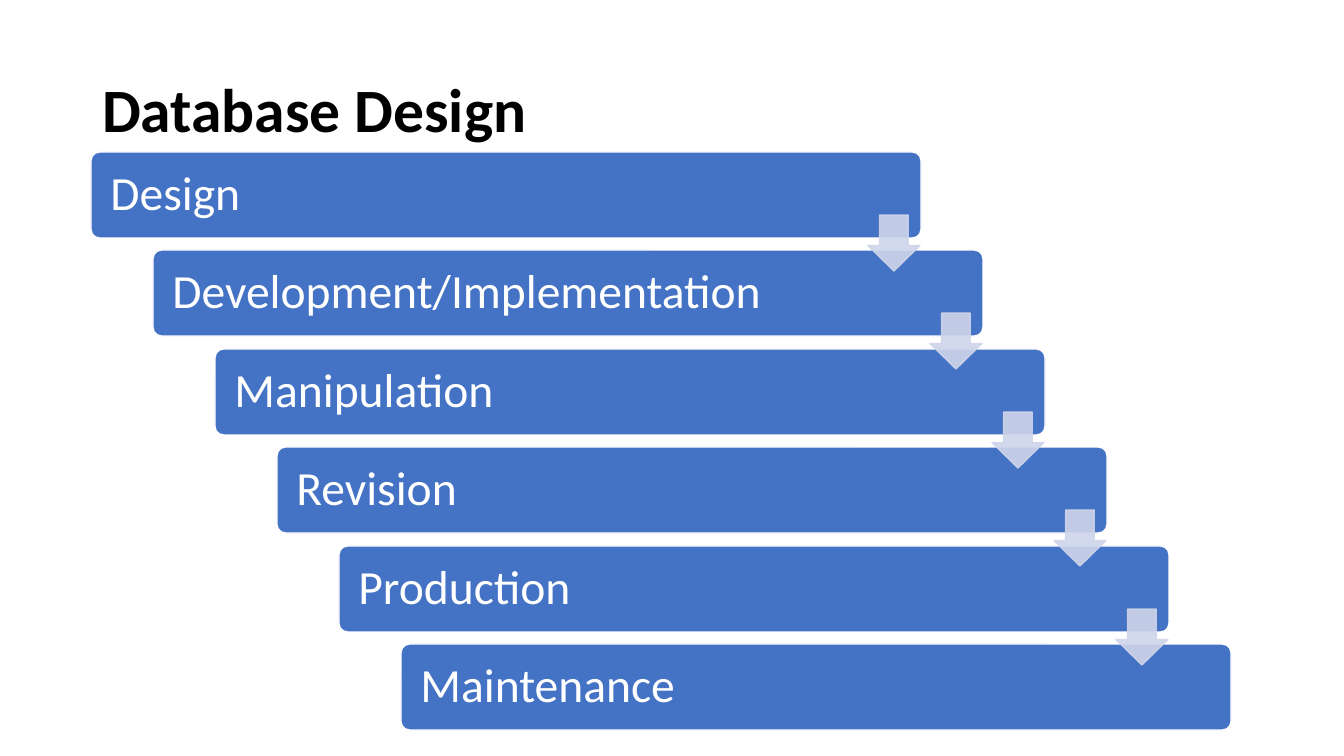
from lxml import etree
from pptx import Presentation
from pptx.dml.color import RGBColor
from pptx.enum.shapes import MSO_SHAPE
from pptx.enum.text import MSO_ANCHOR, MSO_AUTO_SIZE, PP_ALIGN
from pptx.oxml.ns import qn
from pptx.util import Emu, Pt

TITLE = "Database Design"
STAGES = ["Design", "Development/Implementation", "Manipulation",
          "Revision", "Production", "Maintenance"]

FONT = "Calibri"
BLACK = RGBColor(0x00, 0x00, 0x00)
WHITE = RGBColor(0xFF, 0xFF, 0xFF)
BLUE = RGBColor(0x44, 0x72, 0xC4)
PALE = RGBColor(0xCF, 0xD5, 0xEA)
ROUNDED, DOWN = MSO_SHAPE.ROUNDED_RECTANGLE, MSO_SHAPE.DOWN_ARROW
LEFT, MIDDLE, NO_FIT = PP_ALIGN.LEFT, MSO_ANCHOR.MIDDLE, MSO_AUTO_SIZE.NONE

SLIDE_W, SLIDE_H = 1344, 756
TITLE_BOX = (92, 40, 1160, 146)
BAR_X, BAR_Y, BAR_W, BAR_H = 91, 152, 830, 86
STEP_X, LAST_BAR_Y = 62, 644
ARROW_DX, ARROW_DY, ARROW_W, ARROW_H = 777, 63, 52, 56
PAD, FIRST_PAD_RIGHT, PAD_RIGHT = 17, 115, 139


def px(n):
    return Emu(round(n * 914400 / 100.8))


def set_text(s, text, size, color, bold=False):
    tf = s.text_frame
    tf.text = text
    tf.word_wrap = True
    tf.auto_size = NO_FIT
    tf.vertical_anchor = MIDDLE
    p = tf.paragraphs[0]
    p.alignment = LEFT
    p.line_spacing = 0.9
    p.font.name = FONT
    p.font.size = Pt(size)
    p.font.bold = bold
    p.font.color.rgb = color
    return tf


def add_block(slide, kind, box, fill, line, adjustments):
    s = slide.shapes.add_shape(kind, *map(px, box))
    s.shadow.inherit = False
    s.fill.solid()
    s.fill.fore_color.rgb = fill
    s.line.color.rgb = line
    s.line.width = Pt(1)
    for i, value in enumerate(adjustments):
        s.adjustments[i] = value
    return s


def main():
    prs = Presentation()
    prs.slide_width, prs.slide_height = px(SLIDE_W), px(SLIDE_H)
    slide = prs.slides.add_slide(prs.slide_layouts[5])

    title = slide.shapes.title
    title.left, title.top, title.width, title.height = map(px, TITLE_BOX)
    set_text(title, TITLE, 44, BLACK, bold=True)

    step_y = (LAST_BAR_Y - BAR_Y) / (len(STAGES) - 1)
    corners = [(BAR_X + i * STEP_X, round(BAR_Y + i * step_y))
               for i in range(len(STAGES))]

    for i, (stage, (x, y)) in enumerate(zip(STAGES, corners)):
        bar = add_block(slide, ROUNDED, (x, y, BAR_W, BAR_H), BLUE, WHITE, [0.1])
        tf = set_text(bar, stage, 34, WHITE)
        tf.margin_left = tf.margin_top = tf.margin_bottom = px(PAD)
        tf.margin_right = px(PAD_RIGHT if i else FIRST_PAD_RIGHT)

    for x, y in corners[:-1]:
        box = (x + ARROW_DX, y + ARROW_DY, ARROW_W, ARROW_H)
        arrow = add_block(slide, DOWN, box, PALE, PALE, [0.55, 0.49])
        for clr in arrow.element.spPr.iter(qn("a:srgbClr")):
            etree.SubElement(clr, qn("a:alpha"), val="90000")

    prs.save("out.pptx")


if __name__ == "__main__":
    main()
